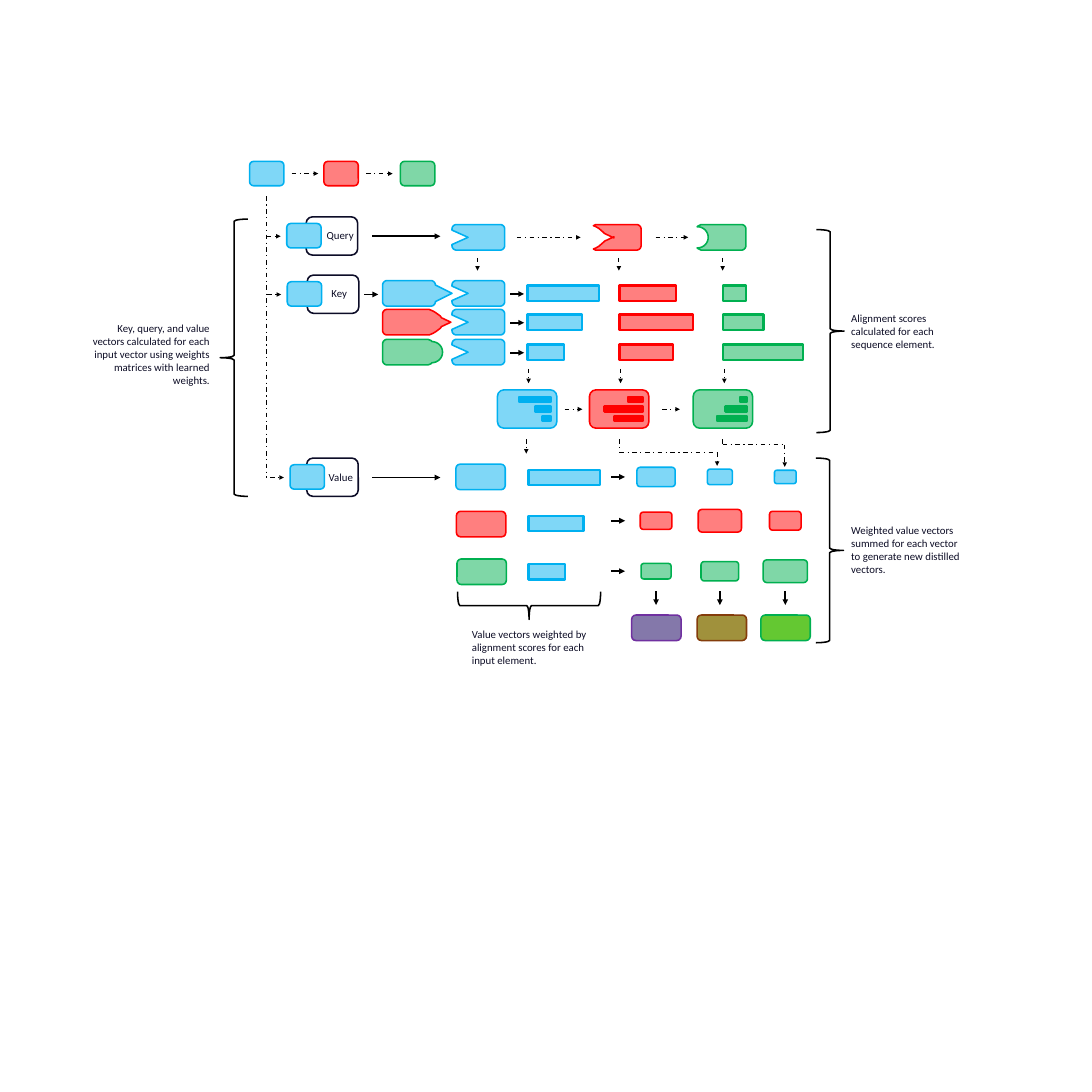
from dataclasses import dataclass
from itertools import pairwise
from math import cos, radians, sin
from typing import Any

from lxml import etree
from pptx import Presentation
from pptx import util as u
from pptx.dml.color import RGBColor
from pptx.enum import dml, shapes, text
from pptx.oxml.ns import qn

BLACK = RGBColor(0x00, 0x00, 0x00)
WHITE = RGBColor(0xFF, 0xFF, 0xFF)
INK = RGBColor(0x0C, 0x0C, 0x25)
CARD_EDGE = RGBColor(0x0C, 0x0C, 0x27)
BLUE, PALE_BLUE = RGBColor(0x00, 0xB0, 0xF0), RGBColor(0x7F, 0xD7, 0xF7)
RED, PALE_RED = RGBColor(0xFF, 0x00, 0x00), RGBColor(0xFF, 0x7F, 0x7F)
GREEN, PALE_GREEN = RGBColor(0x00, 0xB0, 0x50), RGBColor(0x7F, 0xD7, 0xA7)
PURPLE, PALE_PURPLE = RGBColor(0x70, 0x30, 0xA0), RGBColor(0x84, 0x78, 0xAA)
BROWN, OLIVE = RGBColor(0x84, 0x3C, 0x0B), RGBColor(0xA0, 0x91, 0x3C)
LIME = RGBColor(0x64, 0xC8, 0x32)

BLUES, REDS, GREENS = HUES = (PALE_BLUE, BLUE), (PALE_RED, RED), (PALE_GREEN, GREEN)
RECT = shapes.MSO_SHAPE.RECTANGLE
ROUND = shapes.MSO_SHAPE.ROUNDED_RECTANGLE
LEFT, CENTER, RIGHT = text.PP_ALIGN.LEFT, text.PP_ALIGN.CENTER, text.PP_ALIGN.RIGHT
FONT = {"name": "Calibri", "size": u.Pt(14)}
BLOCK_H = 0.46


def arc(cx, cy, r, start, end, steps=8):
    angles = [radians(start + (end - start) * i / steps) for i in range(steps + 1)]
    return [(cx + r * cos(a), cy + r * sin(a)) for a in angles]


def corner_left(x):
    return arc(x, 0.08, 0.08, 180, 270)


def corner_right(x):
    return arc(x, 0.08, 0.08, -90, 0)


NOTCH = [(0.29, 0.23), (0, 0.1), *corner_left(0.08), *corner_right(0.87)]
QUERIES = (
    NOTCH,
    [(0.37, 0.24), (0.2, 0.16), (0.18, 0.14), (0.1, 0.07), (0.05, 0.04),
     (0, 0.02), (0.04, 0), *corner_right(0.78)],
    [*arc(0.01, 0.23, 0.19, 0, -90), (0, 0.04), (0.01, 0.03), (0.07, 0),
     *corner_right(0.8)],
)
KEYS = (
    [*corner_left(0.08), *corner_right(0.87), (1.25, 0.23)],
    [*corner_left(0.08), (0.84, 0), (0.91, 0.03), (0.96, 0.06), (1.04, 0.12),
     (1.06, 0.15), (1.23, 0.23)],
    [*corner_left(0.08), (0.82, 0), (0.87, 0.02), *arc(0.89, 0.23, 0.19, -90, 0)],
)


@dataclass
class Region:
    shapes: Any
    x: float
    y: float

    def place(self, *point):
        return u.Inches(self.x + point[0]), u.Inches(self.y + point[1])

    def paint(self, sp, hue, width):
        sp.shadow.inherit = False
        sp.fill.solid()
        sp.fill.fore_color.rgb, sp.line.color.rgb = hue
        sp.line.width = u.Pt(width)
        return sp

    def block(self, kind, x, y, w, h, hue, width=2):
        sp = self.shapes.add_shape(kind, *self.place(x, y), u.Inches(w), u.Inches(h))
        return self.paint(sp, hue, width)

    def outline(self, x, y, half, hue):
        points = half + [(px, BLOCK_H - py) for px, py in reversed(half)]
        first, *rest = [self.place(x + px, y + py) for px, py in points]
        builder = self.shapes.build_freeform(*first)
        builder.add_line_segments(rest, close=True)
        self.paint(builder.convert_to_shape(), hue, 2)

    def route(self, *points, dashed=True, head=True):
        for start, end in pairwise(points):
            c = self.shapes.add_connector(
                shapes.MSO_CONNECTOR.STRAIGHT, *self.place(*start), *self.place(*end))
            c.line.color.rgb = BLACK
            c.line.width = u.Pt(1.5 if dashed else 2.5)
            if dashed:
                c.line.dash_style = dml.MSO_LINE.DASH_DOT
            if head and end == points[-1]:
                etree.SubElement(c.line._get_or_add_ln(), qn("a:tailEnd"), type="triangle")
            etree.SubElement(c._element.spPr, qn("a:effectLst"))

    def brace(self, x, y, h, rotation=0):
        sp = self.block(shapes.MSO_SHAPE.RIGHT_BRACE, x, y, 0.5, h, (WHITE, BLACK))
        sp.fill.background()
        sp.rotation = rotation

    def note(self, x, y, w, h, lines, align=LEFT):
        tf = self.shapes.add_textbox(*self.place(x, y), u.Inches(w), u.Inches(h)).text_frame
        tf.word_wrap = True
        for i, line in enumerate(lines):
            p = tf.paragraphs[0] if i == 0 else tf.add_paragraph()
            p.alignment = align
            r = p.add_run()
            r.text = line
            for key, value in FONT.items():
                setattr(r.font, key, value)
            r.font.color.rgb = INK


def input_sequence(region):
    for x, (_, colour) in zip((0, 1.34, 2.72), HUES):
        sp = region.block(ROUND, x, 0, 0.62, 0.44, (colour, colour))
        tint = sp._element.spPr.find(qn("a:solidFill"))[0]
        etree.SubElement(tint, qn("a:alpha"), val="50000")
    for x in (0.76, 2.1):
        region.route((x, 0.22), (x + 0.48, 0.22))


def projections(region):
    region.brace(0, 0, 5, 180)
    region.note(-2.43, 1.8, 2.34, 1.28, [
        "Key, query, and value vectors calculated for each input vector using weights "
        "matrices with learned weights."], RIGHT)
    region.route((0.84, -0.41), (0.84, 4.67), head=False)
    rows = (("Query", 1.55, -0.04, 1.2, 0.14, 2.74, 1.23),
            ("Key", 1.57, 1.01, 1.21, 0.1, 2.6, 0.25),
            ("Value", 1.56, 4.31, 1.26, 0.14, 2.74, 1.23))
    for name, x, y, token_x, label_dx, arrow_x, length in rows:
        region.block(ROUND, x, y, 0.93, 0.69, (WHITE, CARD_EDGE))
        region.block(ROUND, token_x, y + 0.12, 0.62, 0.44, BLUES)
        region.note(x + label_dx, y + 0.17, 0.95, 0.34, [name], CENTER)
        region.route((token_x - 0.36, y + 0.35), (token_x - 0.11, y + 0.35))
        region.route((arrow_x, y + 0.35), (arrow_x + length, y + 0.35), dashed=False)


def alignment(region):
    for x, half, hue in zip((1.25, 3.8, 5.67), QUERIES, HUES):
        region.outline(x, 0, half, hue)
        region.route((x + 0.46, 0.6), (x + 0.46, 0.83))
    for start, end in ((2.42, 3.57), (4.92, 5.51)):
        region.route((start, 0.23), (end, 0.23))

    rows = (1.01, 1.53, 2.07)
    for y, half, hue in zip(rows, KEYS, HUES):
        region.outline(0, y, half, hue)
        region.outline(1.25, y, NOTCH, BLUES)
        region.route((2.3, y + 0.24), (2.55, y + 0.24), dashed=False)

    columns = ((2.61, (1.29, 0.99, 0.66), (0.58, 0.29, 0.16)),
               (4.27, (1.02, 1.33, 0.96), (0.28, 0.7, 0.52)),
               (6.14, (0.41, 0.73, 1.44), (0.13, 0.39, 0.54)))
    for (x, scores, bars), hue in zip(columns, HUES):
        for y, score in zip(rows, scores):
            region.block(RECT, x, y + 0.09, score, 0.28, hue, 3)
        region.route((x + 0.02, 2.6), (x + 0.02, 2.86))
        region.block(ROUND, x - 0.54, 2.98, 1.07, 0.69, hue)
        for y, bar in zip((3.11, 3.28, 3.45), bars):
            region.block(RECT, x + 0.43 - bar, y, bar, 0.09, (hue[1], hue[1]), 3)
    for x in (3.28, 5.04):
        region.route((x, 3.33), (x + 0.32, 3.33))

    region.brace(7.82, 0.09, 3.66)
    region.note(8.35, 1.52, 2.34, 0.81, [
        "Alignment scores calculated for each sequence element."])


def weighted_values(region):
    region.route((1.27, 0), (1.27, 0.26))
    region.route((2.95, 0), (2.95, 0.24), (4.71, 0.24), (4.71, 0.48))
    region.route((4.81, 0), (4.81, 0.1), (5.93, 0.1), (5.93, 0.5))

    columns = (3.61, 4.76, 5.94)
    rows = ((0.45, 0.55, 1.29, 0.68, ((0.69, 0.35), (0.45, 0.28), (0.39, 0.24))),
            (1.3, 1.38, 0.99, 1.47, ((0.57, 0.31), (0.78, 0.41), (0.57, 0.34))),
            (2.16, 2.25, 0.66, 2.38, ((0.54, 0.28), (0.68, 0.35), (0.8, 0.41))))
    for i, ((y, bar_y, weight, mid, sizes), hue) in enumerate(zip(rows, HUES)):
        region.block(ROUND, i * 0.01, y, 0.89, BLOCK_H, hue)
        region.block(RECT, 1.31, bar_y, weight, 0.28, BLUES, 3)
        region.route((2.8, mid), (3.05, mid), dashed=False)
        for x, (w, h) in zip(columns, sizes):
            region.block(ROUND, x - w / 2, mid - h / 2, w, h, hue)

    sums = (3.17, PALE_PURPLE, PURPLE), (4.35, OLIVE, BROWN), (5.5, LIME, GREEN)
    for column, (x, fill, edge) in zip(columns, sums):
        region.route((column, 2.74), (column, 2.99), dashed=False)
        region.block(ROUND, x, 3.17, 0.89, BLOCK_H, (fill, edge))

    region.brace(1.07, 1.71, 2.58, 90)
    region.note(0.19, 3.35, 2.33, 0.81, [
        "Value vectors weighted by alignment scores for each input element."])
    region.brace(6.49, 0.34, 3.33)
    region.note(7.03, 1.47, 2.34, 1.04, [
        "Weighted value vectors", "summed for each vector",
        "to generate new distilled vectors."])


def main():
    prs = Presentation()
    prs.slide_width = prs.slide_height = u.Inches(19.69)
    s = prs.slides.add_slide(prs.slide_layouts[6])
    input_sequence(Region(s.shapes, 4.5, 2.91))
    projections(Region(s.shapes, 3.97, 3.95))
    alignment(Region(s.shapes, 6.9, 4.05))
    weighted_values(Region(s.shapes, 8.22, 7.92))
    prs.save("out.pptx")


if __name__ == "__main__":
    main()
